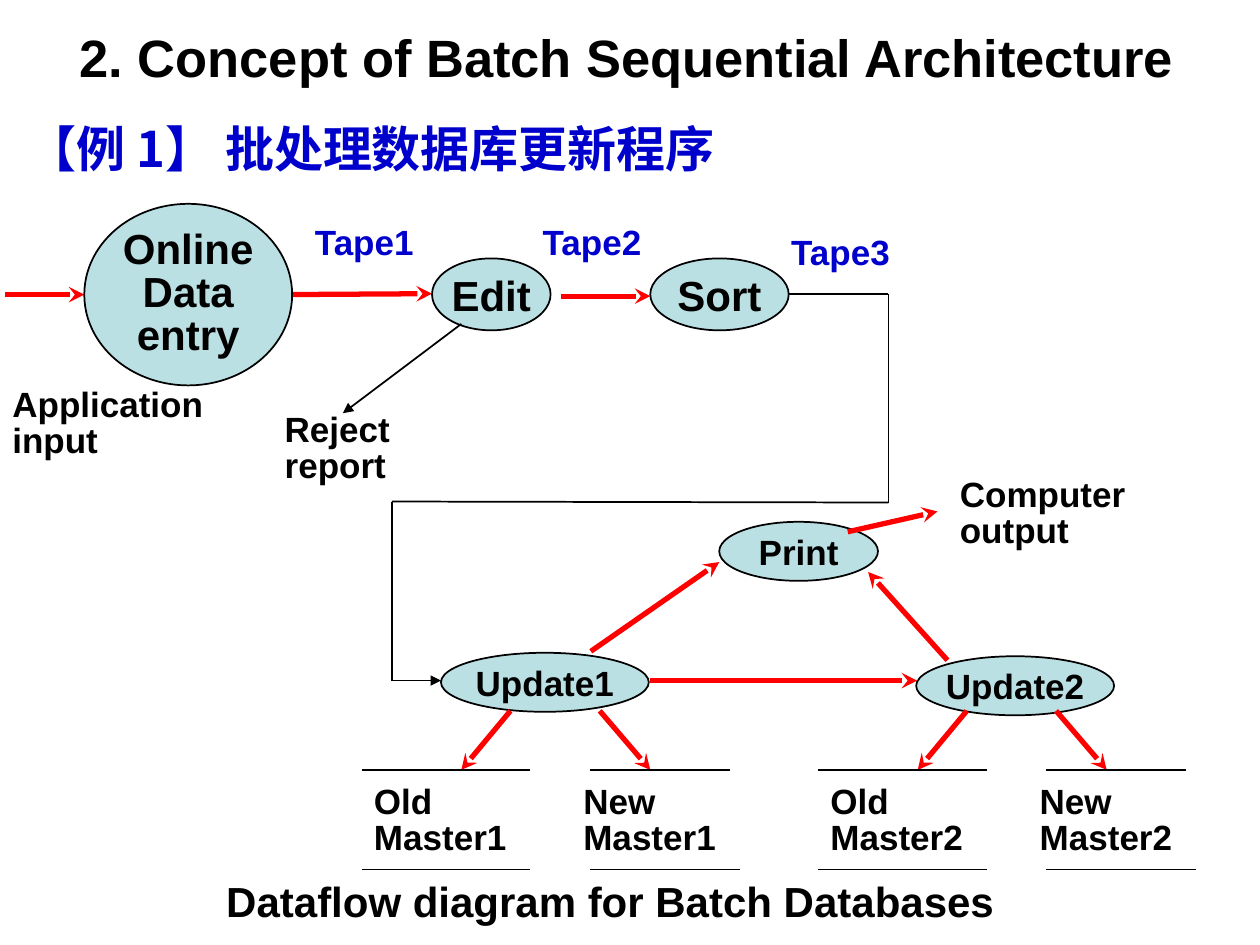
import itertools

import pptx
import pptx.dml.color
import pptx.enum.shapes
import pptx.enum.text
import pptx.oxml.ns
import pptx.util
from pptx.util import Cm

BLACK = pptx.dml.color.RGBColor(0x00, 0x00, 0x00)
RED = pptx.dml.color.RGBColor(0xFF, 0x00, 0x00)
BLUE = pptx.dml.color.RGBColor(0x00, 0x00, 0xCC)
PALE_TEAL = pptx.dml.color.RGBColor(0xBB, 0xE0, 0xE3)
LEFT = pptx.enum.text.PP_ALIGN.LEFT
CENTER = pptx.enum.text.PP_ALIGN.CENTER
TOP = pptx.enum.text.MSO_ANCHOR.TOP
MIDDLE = pptx.enum.text.MSO_ANCHOR.MIDDLE
LATIN_FONT = "Arial"
CHINESE_FONT = "Noto Sans CJK SC"

deck = pptx.Presentation()
deck.slide_width = Cm(25.4)
deck.slide_height = Cm(19.05)
page = deck.slides.add_slide(deck.slide_layouts[6])


def draw_line(start_x, start_y, end_x, end_y, color=BLACK, width=1, arrow=None):
    line = page.shapes.add_connector(
        pptx.enum.shapes.MSO_CONNECTOR.STRAIGHT,
        Cm(start_x), Cm(start_y), Cm(end_x), Cm(end_y),
    )
    line.line.color.rgb = color
    line.line.width = pptx.util.Pt(width)
    properties = line._element.spPr
    if arrow:
        tail = properties.find(pptx.oxml.ns.qn("a:ln")).makeelement(
            pptx.oxml.ns.qn("a:tailEnd"), {"type": arrow}
        )
        properties.find(pptx.oxml.ns.qn("a:ln")).append(tail)
    properties.append(properties.makeelement(pptx.oxml.ns.qn("a:effectLst"), {}))


def write_text(box, text, size, color, align, anchor, spacing, font):
    frame = box.text_frame
    frame.text = text
    frame.vertical_anchor = anchor
    for para in frame.paragraphs:
        para.alignment = align
        para.line_spacing = spacing
        for span in para.runs:
            span.font.size = pptx.util.Pt(size)
            span.font.bold = True
            span.font.color.rgb = color
            span.font.name = font
            properties = span._r.get_or_add_rPr()
            properties.append(
                properties.makeelement(pptx.oxml.ns.qn("a:ea"), {"typeface": font})
            )


input_flows = [
    (0.1, 5.94, 1.7, 5.94),
    (5.49, 5.94, 8.71, 5.92),
    (11.3, 5.97, 13.11, 5.97),
    (11.91, 13.13, 14.5, 11.33),
]
for flow in input_flows:
    draw_line(*flow, RED, 3, "stealth")

processes = [
    ("Online\nData\nentry", 1.7, 4.11, 4.19, 3.66, 24, 0.85),
    ("Edit", 8.71, 5.21, 2.39, 1.45, 24, 1.0),
    ("Sort", 13.11, 5.21, 2.79, 1.45, 24, 1.0),
    ("Update1", 8.89, 13.16, 4.19, 1.19, 20, 1.0),
    ("Update2", 18.47, 13.23, 3.99, 1.19, 20, 1.0),
    ("Print", 14.5, 10.52, 3.2, 1.19, 20, 1.0),
]
for name, left, top, width, height, size, spacing in processes:
    ellipse = page.shapes.add_shape(
        pptx.enum.shapes.MSO_SHAPE.OVAL, Cm(left), Cm(top), Cm(width), Cm(height)
    )
    ellipse.shadow.inherit = False
    ellipse.fill.solid()
    ellipse.fill.fore_color.rgb = PALE_TEAL
    ellipse.line.color.rgb = BLACK
    ellipse.line.width = pptx.util.Pt(1)
    frame = ellipse.text_frame
    frame.margin_left = frame.margin_right = Cm(0)
    frame.margin_top = frame.margin_bottom = Cm(0)
    frame.word_wrap = False
    write_text(ellipse, name, size, BLACK, CENTER, MIDDLE, spacing, LATIN_FONT)

output_flows = [
    (13.11, 13.72, 18.49, 13.72),
    (19.1, 13.31, 17.5, 11.53),
    (17.09, 10.72, 18.9, 10.31),
]
for flow in output_flows:
    draw_line(*flow, RED, 3, "stealth")

tape_route = [
    (15.9, 5.92), (17.91, 5.92), (17.91, 10.13),
    (7.9, 10.11), (7.9, 13.72), (8.89, 13.72),
]
for start, end in itertools.pairwise(tape_route):
    arrow = "triangle" if end == tape_route[-1] else None
    draw_line(*start, *end, arrow=arrow)
draw_line(9.3, 6.53, 6.91, 8.33, arrow="triangle")

labels = [
    ("Computer\noutput", 19.1, 9.53, 4.19, 1.7, 20, BLACK, LEFT, TOP, 0.85, LATIN_FONT),
    ("Application input", 0, 7.72, 4.39, 1.7, 20, BLACK, LEFT, TOP, 0.85, LATIN_FONT),
    ("Reject\nreport", 5.49, 8.23, 2.79, 1.7, 20, BLACK, LEFT, TOP, 0.85, LATIN_FONT),
    ("Dataflow diagram for Batch Databases", 0.69, 17.53, 23.22, 1.27, 24,
     BLACK, CENTER, MIDDLE, 1.0, LATIN_FONT),
    ("【例 1】 批处理数据库更新程序", 0.3, 2.26, 15.6, 1.45, 28,
     BLUE, LEFT, TOP, 1.0, CHINESE_FONT),
    ("2. Concept of Batch Sequential Architecture", 0.89, 0.58, 23.5, 1.35, 30,
     BLACK, CENTER, TOP, 0.85, LATIN_FONT),
]
for name, left, top in [("Tape1", 6.1, 4.32), ("Tape2", 10.69, 4.32), ("Tape3", 15.7, 4.52)]:
    labels.append((name, left, top, 2.59, 1.12, 20, BLUE, LEFT, TOP, 1.0, LATIN_FONT))

master_files = [
    ("Old", 7.29, 7.29, 10.69, 10.69, 10.29, 9.3),
    ("New", 11.51, 11.89, 14.71, 14.91, 12.09, 13.11),
]
for number, offset in [(1, 0), (2, 9.2)]:
    for age, text_left, rule_left, top_end, bottom_end, flow_start, flow_end in master_files:
        draw_line(flow_start + offset, 14.33, flow_end + offset, 15.52, RED, 3, "stealth")
        draw_line(rule_left + offset, 15.52, top_end + offset, 15.52)
        draw_line(rule_left + offset, 17.53, bottom_end + offset, 17.53)
        labels.append((f"{age}\nMaster{number}", text_left + offset, 15.72, 3.4, 1.7, 20,
                       BLACK, LEFT, TOP, 0.85, LATIN_FONT))

for text, left, top, width, height, *style in labels:
    box = page.shapes.add_textbox(Cm(left), Cm(top), Cm(width), Cm(height))
    box.text_frame.word_wrap = True
    write_text(box, text, *style)

deck.save("out.pptx")
